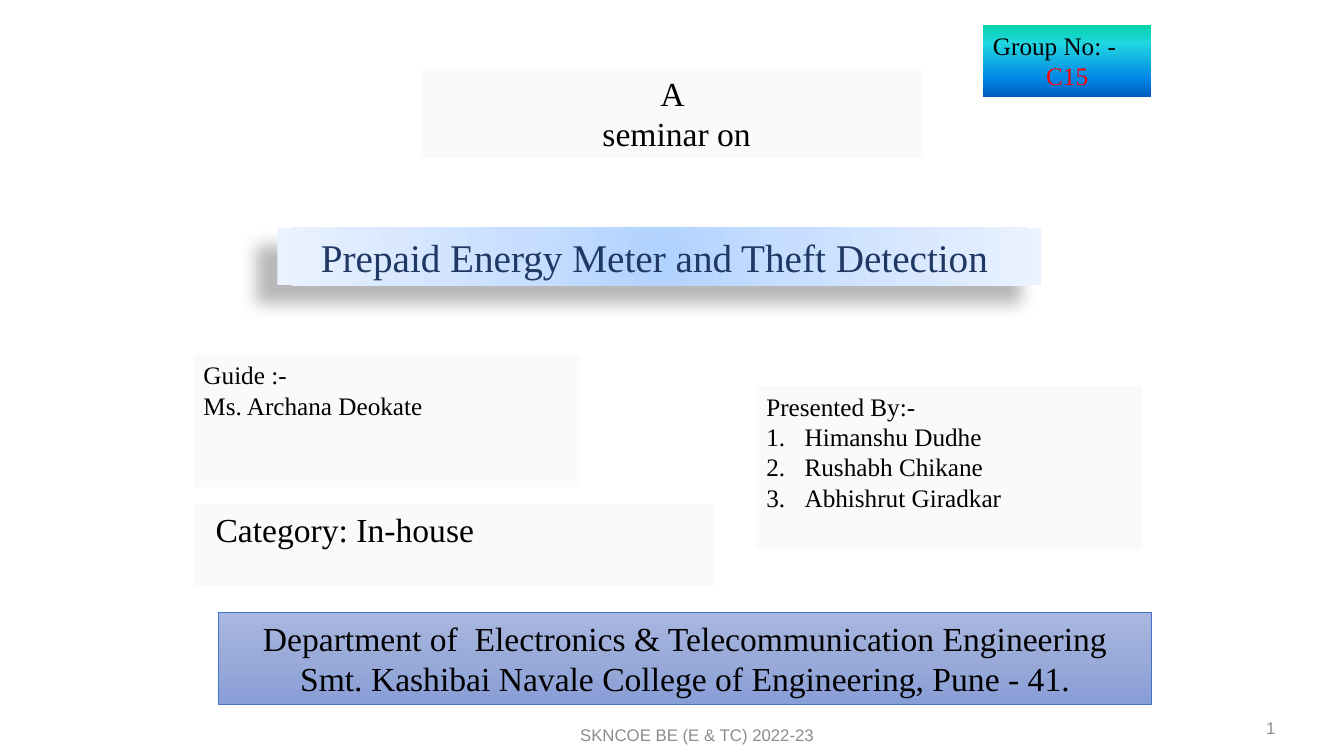
from lxml import etree
from pptx import Presentation
from pptx.dml.color import RGBColor
from pptx.enum.shapes import MSO_SHAPE
from pptx.enum.text import MSO_ANCHOR, MSO_AUTO_SIZE, PP_ALIGN
from pptx.oxml.ns import qn
from pptx.util import Inches, Pt

RECTANGLE = MSO_SHAPE.RECTANGLE
TOP, MIDDLE = MSO_ANCHOR.TOP, MSO_ANCHOR.MIDDLE
LEFT, CENTER, RIGHT = PP_ALIGN.LEFT, PP_ALIGN.CENTER, PP_ALIGN.RIGHT
FIXED_SIZE = MSO_AUTO_SIZE.NONE

BLACK = RGBColor(0x00, 0x00, 0x00)
WHITE = RGBColor(0xFF, 0xFF, 0xFF)
RED = RGBColor(0xFF, 0x00, 0x00)
NAVY = RGBColor(0x20, 0x38, 0x64)
GRAY = RGBColor(0x8C, 0x8C, 0x8C)
PANEL = RGBColor(0xFA, 0xFA, 0xFA)
BANNER_LINE = RGBColor(0x44, 0x72, 0xC4)
TITLE_STOPS = [(0, RGBColor(0xB0, 0xD2, 0xFF)), (35, RGBColor(0xC7, 0xDE, 0xFF)),
               (100, RGBColor(0xEA, 0xF2, 0xFF))]
BANNER_STOPS = [(0, RGBColor(0xA8, 0xB7, 0xDF)), (50, RGBColor(0x9A, 0xAB, 0xD9)),
                (100, RGBColor(0x88, 0x9E, 0xD7))]
GROUP_STOPS = [(0, RGBColor(0x03, 0xD4, 0xA8)), (25, RGBColor(0x21, 0xD6, 0xE0)),
               (75, RGBColor(0x00, 0x87, 0xE6)), (100, RGBColor(0x00, 0x5C, 0xBF))]
SERIF, SANS = "Times New Roman", "Arial"


def add_element(parent, tag, **attributes):
    element = etree.SubElement(parent, qn(tag))
    for name, value in attributes.items():
        element.set(name, str(value))
    return element


def place(shape, box):
    shape.left, shape.top, shape.width, shape.height = (Inches(length) for length in box)


def fill_gradient(shape, stops, radial=False):
    """Fill with (percent, colour) stops, from the centre or from top to bottom."""
    shape.fill.gradient()
    gradient = shape._element.spPr.find(qn("a:gradFill"))
    for child in list(gradient):
        gradient.remove(child)
    stop_list = add_element(gradient, "a:gsLst")
    for percent, color in stops:
        stop = add_element(stop_list, "a:gs", pos=percent * 1000)
        add_element(stop, "a:srgbClr", val=color)
    if radial:
        direction = add_element(gradient, "a:path", path="circle")
        add_element(direction, "a:fillToRect", l=50000, t=50000, r=50000, b=50000)
    else:
        add_element(gradient, "a:lin", ang=90 * 60000, scaled=0)


def cast_shadow(shape):
    shape.shadow.inherit = False
    effects = shape._element.spPr.find(qn("a:effectLst"))
    shadow = add_element(effects, "a:outerShdw", blurRad=Pt(11.8), dist=Pt(19.7),
                         dir=141 * 60000, algn="ctr", rotWithShape=0)
    color = add_element(shadow, "a:srgbClr", val=BLACK)
    add_element(color, "a:alpha", val=28000)


def write_lines(shape, lines, size, color=BLACK, font=SERIF, align=LEFT, anchor=TOP):
    """Write one paragraph for each line and return the paragraphs."""
    frame = shape.text_frame
    frame.word_wrap = True
    frame.auto_size = FIXED_SIZE
    frame.vertical_anchor = anchor
    for index, line in enumerate(lines):
        para = frame.paragraphs[0] if index == 0 else frame.add_paragraph()
        para.alignment = align
        para.space_before = Pt(0)
        span = para.add_run()
        span.text = line
        span.font.name, span.font.size = font, Pt(size)
        span.font.color.rgb = color
    return frame.paragraphs


def add_panel(page, box):
    panel = page.shapes.add_shape(RECTANGLE, *(Inches(length) for length in box))
    panel.shadow.inherit = False
    panel.fill.solid()
    panel.fill.fore_color.rgb = PANEL
    panel.line.fill.background()
    return panel


def add_heading(page, box):
    panel = add_panel(page, box)
    panel.line.color.rgb = WHITE
    panel.line.width = Pt(1.5)
    write_lines(panel, ["A", " seminar on"], 24, align=CENTER)


def fill_title(page, box):
    title = page.shapes.title
    place(title, box)
    fill_gradient(title, TITLE_STOPS, radial=True)
    cast_shadow(title)
    write_lines(title, ["Prepaid Energy Meter and Theft Detection "], 28, NAVY, align=CENTER)


def add_guide(page, box):
    write_lines(add_panel(page, box), ["Guide :-", "Ms. Archana Deokate"], 18)


def fill_presenters(page, box):
    body = page.placeholders[1]
    place(body, box)
    body.fill.solid()
    body.fill.fore_color.rgb = PANEL
    label, *names = write_lines(
        body, ["Presented By:-", "Himanshu Dudhe", "Rushabh Chikane", "Abhishrut Giradkar"], 18)
    properties = label._p.get_or_add_pPr()
    properties.set("marL", "0")
    properties.set("indent", "0")
    add_element(properties, "a:buNone")
    for name in names:
        properties = name._p.get_or_add_pPr()
        properties.set("marL", str(Inches(0.38)))
        properties.set("indent", str(-Inches(0.38)))
        add_element(properties, "a:buFont", typeface="+mj-lt")
        add_element(properties, "a:buAutoNum", type="arabicPeriod")


def add_category(page, box):
    category, = write_lines(add_panel(page, box), ["Category: In-house"], 24)
    category._p.get_or_add_pPr().set("marL", str(Inches(0.12)))


def add_department(page, box):
    banner = add_panel(page, box)
    fill_gradient(banner, BANNER_STOPS)
    banner.line.color.rgb = BANNER_LINE
    banner.line.width = Pt(0.5)
    write_lines(banner, ["Department of  Electronics & Telecommunication Engineering",
                         "Smt. Kashibai Navale College of Engineering, Pune - 41."],
                24, align=CENTER)


def add_group_number(page, box):
    badge = add_panel(page, box)
    fill_gradient(badge, GROUP_STOPS)
    label, number = write_lines(badge, ["Group No: -", "C15"], 18)
    number.alignment = CENTER
    number.runs[0].font.color.rgb = RED


def add_small_print(page, box, text, align):
    note = page.shapes.add_textbox(*(Inches(length) for length in box))
    return write_lines(note, [text], 12, GRAY, SANS, align, MIDDLE)[0]


def add_page_number(page, box):
    """Show the slide number as a field, so that it follows the slide."""
    para = add_small_print(page, box, "1", RIGHT)
    number = para.runs[0]._r
    field = add_element(para._p, "a:fld", type="slidenum",
                        id="{B6F15528-21DE-4FAA-801E-634DDDAF4B2B}")
    for child in list(number):
        field.append(child)
    para._p.remove(number)


def build_cover(deck):
    page = deck.slides.add_slide(deck.slide_layouts[1])
    add_heading(page, (4.17, 0.67, 5, 0.91))
    fill_title(page, (2.75, 2.26, 7.58, 0.57))
    add_guide(page, (1.92, 3.52, 3.83, 1.31))
    fill_presenters(page, (7.5, 3.83, 3.83, 1.62))
    add_department(page, (2.17, 6.08, 9.25, 0.91))
    add_category(page, (1.92, 5, 5.17, 0.81))
    add_group_number(page, (9.75, 0.25, 1.67, 0.71))
    add_small_print(page, (5.08, 7.09, 3.67, 0.4), "SKNCOE BE (E & TC) 2022-23", CENTER)
    add_page_number(page, (9.75, 7.02, 3, 0.4))


def main():
    deck = Presentation()
    deck.slide_width, deck.slide_height = Inches(13.33), Inches(7.5)
    build_cover(deck)
    deck.save("out.pptx")


if __name__ == "__main__":
    main()
